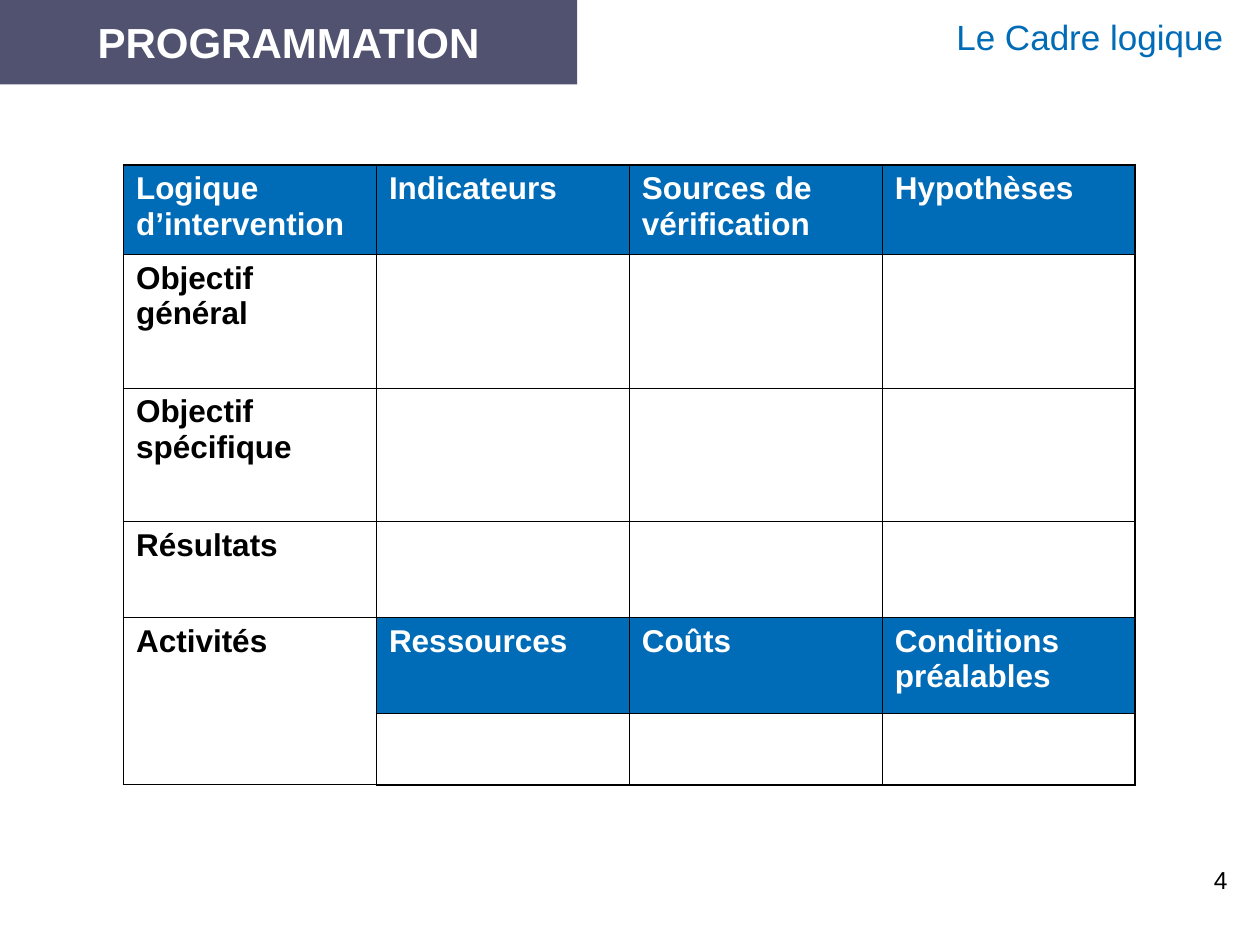
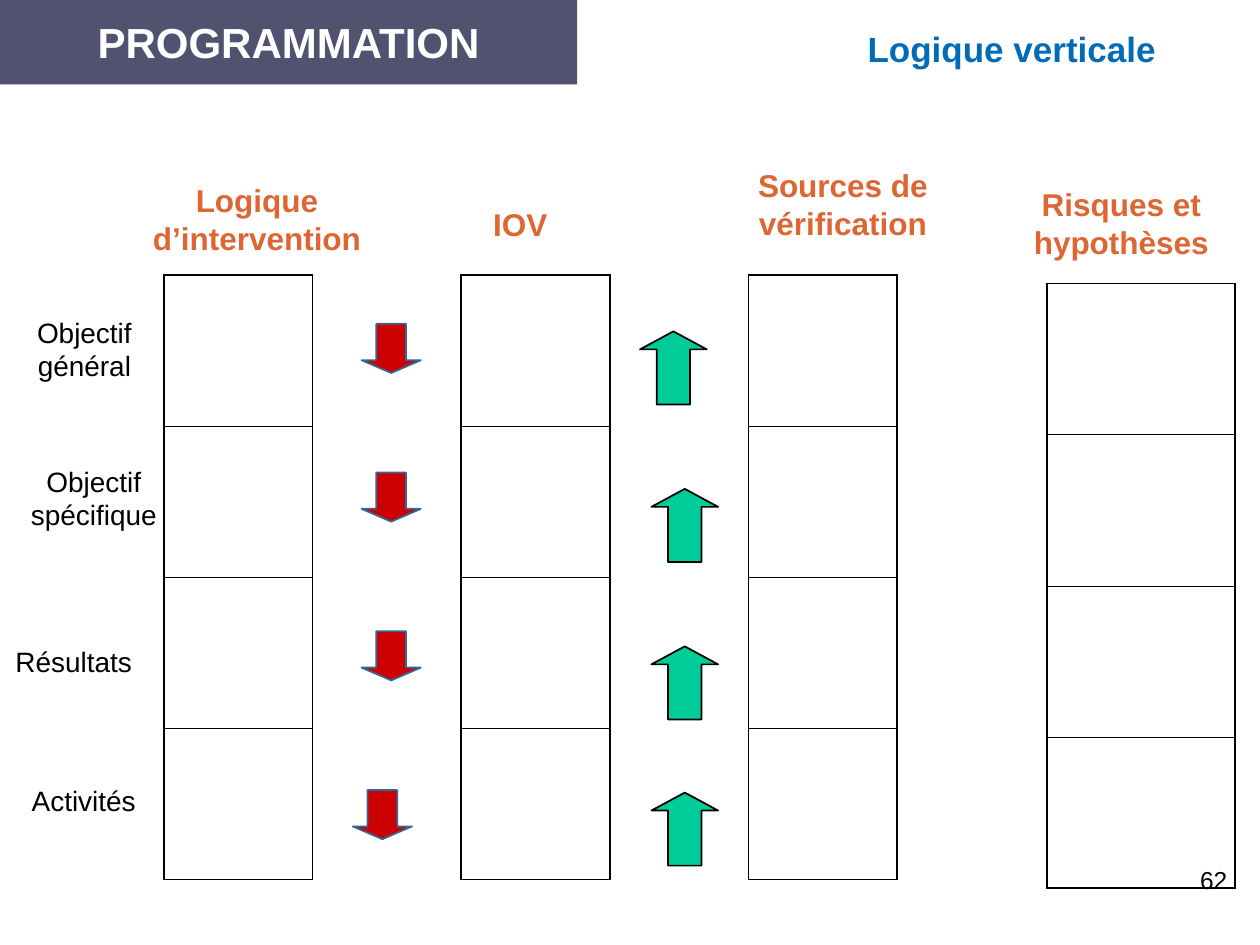
from dataclasses import dataclass

from lxml import etree
from pptx import Presentation
from pptx import util as u
from pptx.dml.color import RGBColor
from pptx.enum import shapes, text
from pptx.oxml import ns

# Grid: 100 columns by 75 rows cover the slide
COLS, ROWS = 100, 75
UNIT = u.Inches(0.1)
LEFT, CENTER, RIGHT = text.PP_ALIGN.LEFT, text.PP_ALIGN.CENTER, text.PP_ALIGN.RIGHT
TOP, MIDDLE = text.MSO_ANCHOR.TOP, text.MSO_ANCHOR.MIDDLE


@dataclass(frozen=True)
class Theme:
    font: str = "Arial"
    band: str = "50526F"
    blue: str = "006BB6"
    orange: str = "DD6633"
    red: str = "CC0000"
    red_line: str = "336699"
    green: str = "00CC99"
    white: str = "FFFFFF"
    black: str = "000000"
    band_size: int = 24
    title_size: int = 20
    head_size: int = 18
    label_size: int = 16
    number_size: int = 14
    outer_line: float = 1.08
    inner_line: float = 0.45


T = Theme()


@dataclass(frozen=True)
class Box:
    x: float
    y: float
    w: float
    h: float

    def inner(self, x, y, w, h):
        """A box placed relative to this one."""
        return Box(self.x + x, self.y + y, w, h)

    def around(self, x, y, w, h):
        """A box centred on a point of this one."""
        return self.inner(x - w / 2, y - h / 2, w, h)

    @property
    def emu(self):
        return [round(v * UNIT) for v in (self.x, self.y, self.w, self.h)]


SLIDE = Box(0, 0, COLS, ROWS)


def write(tf, content, size=T.head_size, color=T.black, bold=False, align=LEFT,
          anchor=TOP, insets=(0.04, 0, 0.04, 0), wrap=True):
    """Fill a text frame, one paragraph per line of content."""
    tf.word_wrap = wrap
    tf.auto_size = text.MSO_AUTO_SIZE.NONE
    tf.vertical_anchor = anchor
    tf.margin_left, tf.margin_top, tf.margin_right, tf.margin_bottom = map(u.Inches, insets)
    for i, line in enumerate(content.split("\n")):
        p = tf.add_paragraph() if i else tf.paragraphs[0]
        p.alignment = align
        p.space_before = u.Pt(0)
        r = p.add_run()
        r.text = line
        r.font.name, r.font.size, r.font.bold = T.font, u.Pt(size), bold
        r.font.color.rgb = RGBColor.from_string(color)


def add_text(s, box, content, **fmt):
    write(s.shapes.add_textbox(*box.emu).text_frame, content, **fmt)


def add_preset(s, kind, box, fill, line=None):
    sp = s.shapes.add_shape(kind, *box.emu)
    sp.shadow.inherit = False
    sp.fill.solid()
    sp.fill.fore_color.rgb = RGBColor.from_string(fill)
    if line:
        sp.line.color.rgb = RGBColor.from_string(line)
        sp.line.width = u.Pt(1)
    else:
        sp.line.fill.background()
    return sp


def set_borders(cell, widths):
    """Draw the left, right, top and bottom borders, ahead of the cell's fill."""
    tc_pr = cell._tc.get_or_add_tcPr()
    for i, (side, width) in enumerate(zip("LRTB", widths)):
        ln = etree.Element(ns.qn(f"a:ln{side}"), w=str(u.Pt(width)))
        fill = etree.SubElement(ln, ns.qn("a:solidFill"))
        etree.SubElement(fill, ns.qn("a:srgbClr"), val=T.black)
        tc_pr.insert(i, ln)


def add_grid(s, box, col_widths, row_heights):
    """An unfilled table with a heavier outline than its inner lines."""
    n_rows, n_cols = len(row_heights), len(col_widths)
    table = s.shapes.add_table(n_rows, n_cols, *box.emu).table
    table.first_row = table.horz_banding = False
    for column, width in zip(table.columns, col_widths):
        column.width = round(width * UNIT)
    for row, height in zip(table.rows, row_heights):
        row.height = round(height * UNIT)
    for i in range(n_rows):
        for j in range(n_cols):
            cell = table.cell(i, j)
            cell.fill.background()
            edges = (j == 0, j == n_cols - 1, i == 0, i == n_rows - 1)
            set_borders(cell, [T.outer_line if e else T.inner_line for e in edges])
    return table


def start_slide(prs, title, title_box, number, **title_fmt):
    """Title and section band; returns the slide and a call that adds its number on top."""
    s = prs.slides.add_slide(prs.slide_layouts[5])
    sp = s.shapes.title
    sp.left, sp.top, sp.width, sp.height = title_box.emu
    write(sp.text_frame, title, size=T.title_size, color=T.blue, anchor=MIDDLE, **title_fmt)
    band = add_preset(s, shapes.MSO_SHAPE.RECTANGLE, SLIDE.inner(0, 0, 45.8, 6.7), T.band)
    frame = (0.1, 0.05, 0.1, 0.05)
    write(band.text_frame, "PROGRAMMATION", size=T.band_size, color=T.white, bold=True,
          align=CENTER, anchor=MIDDLE, insets=frame)
    return s, lambda: add_text(s, SLIDE.inner(77.6, 68.2, 20.8, 5), number,
                               size=T.number_size, align=RIGHT, insets=frame)


# Logical framework table
def framework_table(s, box):
    rows = [
        ["Logique d’intervention", "Indicateurs", "Sources de vérification", "Hypothèses"],
        ["Objectif général"],
        ["Objectif spécifique"],
        ["Résultats"],
        ["Activités", "Ressources", "Coûts", "Conditions préalables"],
    ]
    table = add_grid(s, box, [box.w / 4] * 4, [7.1, 10.6, 10.6, 7.6, 7.6, 5.7])
    for i, row in enumerate(rows):
        for j, content in enumerate(row):
            cell = table.cell(i, j)
            heading = i == 0 or (i == 4 and j > 0)
            if heading:
                cell.fill.solid()
                cell.fill.fore_color.rgb = RGBColor.from_string(T.blue)
            cell.margin_left = u.Inches(0.1)
            cell.margin_right = u.Inches(0.06)
            p = cell.text_frame.paragraphs[0]
            r = p.add_run()
            r.text = content
            r.font.name, r.font.size, r.font.bold = T.font, u.Pt(T.head_size), True
            r.font.color.rgb = RGBColor.from_string(T.white if heading else T.black)
    table.cell(4, 0).merge(table.cell(5, 0))


def framework_slide(prs):
    s, add_number = start_slide(prs, "Le Cadre logique", SLIDE.inner(58.6, 0.8, 38.9, 4.2),
                                "4", align=RIGHT)
    framework_table(s, SLIDE.inner(9.8, 13.1, 80.3, 49.2))
    add_number()


# One column of four levels under its heading
def level_column(s, box, heading, head_x, head_y):
    add_grid(s, box, [box.w], [box.h / 4] * 4)
    add_text(s, box.around(head_x, head_y, 18, 6), heading, color=T.orange, bold=True,
             align=CENTER, anchor=MIDDLE, wrap=False)


# Names of the levels, given as centre points
def level_labels(s, box):
    for content, x, y in [("Objectif\ngénéral", 6.7, 5.9), ("Objectif\nspécifique", 7.45, 17.7),
                          ("Résultats", 5.85, 30.7), ("Activités", 6.65, 41.7)]:
        add_text(s, box.around(x, y, 11, 5.4), content, size=T.label_size,
                 align=CENTER, anchor=MIDDLE, wrap=False)


# A column of arrows, each shifted sideways and down
def arrow_column(s, box, kind, size, head, places, fill, line):
    for dx, dy in places:
        sp = add_preset(s, kind, box.inner(dx, dy, *size), fill, line)
        sp.adjustments[0], sp.adjustments[1] = 0.5, head


def vertical_slide(prs):
    s, add_number = start_slide(prs, "Logique verticale", SLIDE.inner(68.4, 2.2, 23.8, 3.3),
                                "62", align=CENTER, bold=True, wrap=False)
    body = SLIDE.inner(0, 21.8, COLS, 48)
    level_labels(s, body)
    for heading, x, y, w, head_x, head_y in [
        ("Logique\nd’intervention", 13, 0, 11.8, 7.4, -4.4),
        ("IOV", 36.6, 0, 11.8, 4.7, -4),
        ("Sources de\nvérification", 59.4, 0, 11.8, 7.5, -5.6),
        ("Risques et\nhypothèses", 83.1, 0.7, 14.9, 5.9, -4.8),
    ]:
        level_column(s, body.inner(x, y, w, body.h), heading, head_x, head_y)
    arrow_column(s, body.inner(28.7, 3.9, 4.7, body.h), shapes.MSO_SHAPE.DOWN_ARROW,
                 (4.7, 3.9), 0.26, [(0, 0), (0, 11.8), (0, 24.4), (-0.7, 37)],
                 T.red, T.red_line)
    arrow_column(s, body.inner(51.7, 4.5, 5.3, body.h), shapes.MSO_SHAPE.UP_ARROW,
                 (5.3, 5.8), 0.27, [(-0.9, 0), (0, 12.5), (0, 25), (0, 36.6)],
                 T.green, T.black)
    add_number()


def main():
    prs = Presentation()
    prs.slide_width, prs.slide_height = COLS * UNIT, ROWS * UNIT
    framework_slide(prs)
    vertical_slide(prs)
    prs.save("out.pptx")


if __name__ == "__main__":
    main()
